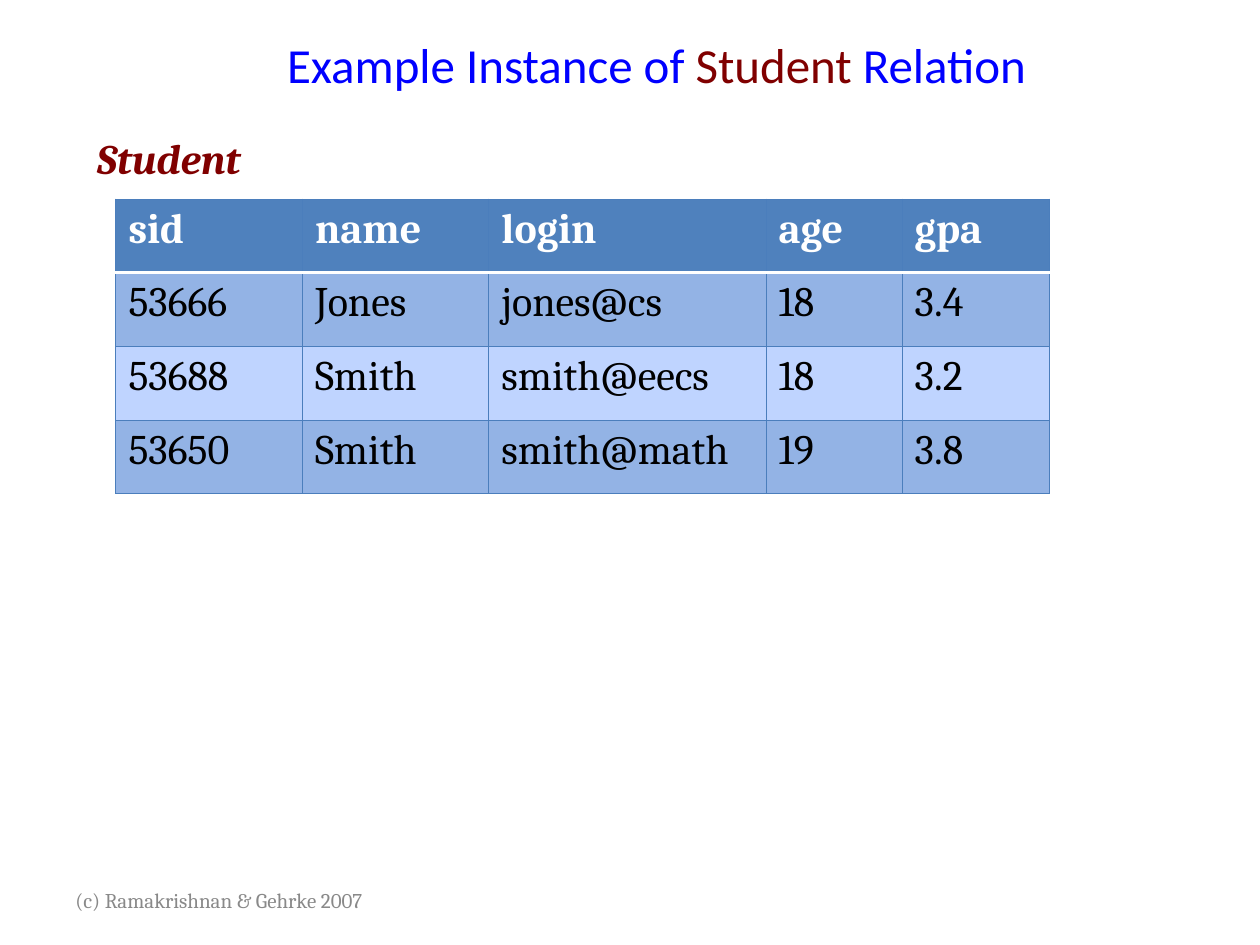
from dataclasses import dataclass

from lxml.etree import SubElement as Sub
from pptx import Presentation as Deck
from pptx.dml.color import RGBColor as Rgb
from pptx.enum.text import MSO_ANCHOR as Anchor, PP_ALIGN as Align
from pptx.oxml.ns import qn
from pptx.util import Inches, Pt


@dataclass(frozen=True)
class Theme:
    head: str = "Calibri"
    body: str = "Cambria"
    blue: str = "0000FF"
    red: str = "800000"
    gray: str = "898989"
    white: str = "FFFFFF"
    black: str = "000000"
    fill: str = "4F81BD"
    dark: str = "93B3E5"
    light: str = "BFD4FF"
    edge: str = "4B7EBC"
    big: int = 28
    mid: int = 24
    small: int = 12


@dataclass(frozen=True)
class Box:
    left: float
    top: float
    width: float
    height: float

    def place(self) -> tuple:
        return (across(self.left), down(self.top),
                across(self.width), down(self.height))


LOOK = Theme()
WIDE, HIGH = Inches(10), Inches(7.5)


def across(share: float) -> int:
    return round(WIDE * share / 100)


def down(share: float) -> int:
    return round(HIGH * share / 100)


def write(frame, *runs: tuple, font: str = LOOK.body, size: int = LOOK.mid,
          bold: bool = False, slant: bool = False, align=Align.LEFT,
          anchor=Anchor.TOP, wrap: bool = True) -> None:
    frame.word_wrap = wrap
    frame.vertical_anchor = anchor
    para = frame.paragraphs[0]
    para.alignment = align
    for words, color in runs:
        run = para.add_run()
        run.text = words
        face = run.font
        face.name, face.size = font, Pt(size)
        face.bold, face.italic = bold, slant
        face.color.rgb = Rgb.from_string(color)


def label(slide, box: Box, *runs: tuple, **form) -> None:
    write(slide.shapes.add_textbox(*box.place()).text_frame, *runs, **form)


def border(cell, side: str, color: str, width: float) -> None:
    line = Sub(cell._tc.get_or_add_tcPr(), qn(f"a:{side}"), w=str(Pt(width)))
    Sub(Sub(line, qn("a:solidFill")), qn("a:srgbClr"), val=color)


def grid(slide, box: Box, cols: list[float], rows: list[tuple]) -> None:
    table = slide.shapes.add_table(len(rows), len(cols), *box.place()).table
    for col, width in zip(table.columns, cols):
        col.width = across(width)
    for y, row in enumerate(rows):
        top = y == 0
        back = LOOK.fill if top else LOOK.dark if y % 2 else LOOK.light
        ink = LOOK.white if top else LOOK.black
        rule, thin = (LOOK.white, 2), (LOOK.edge, 0.75)
        for x, words in enumerate(row):
            cell = table.cell(y, x)
            write(cell.text_frame, (words, ink), bold=top)
            border(cell, "lnL", *thin)
            border(cell, "lnR", *thin)
            border(cell, "lnT", *(rule if y == 1 else thin))
            border(cell, "lnB", *(rule if top else thin))
            cell.fill.solid()
            cell.fill.fore_color.rgb = Rgb.from_string(back)


def main() -> None:
    deck = Deck()
    deck.slide_width, deck.slide_height = WIDE, HIGH
    slide = deck.slides.add_slide(deck.slide_layouts[6])
    label(slide, Box(10, 2.27, 84.2, 8.93),
          ("Example Instance of ", LOOK.blue), ("Student", LOOK.red),
          (" Relation", LOOK.blue), font=LOOK.head, size=LOOK.big,
          align=Align.CENTER, anchor=Anchor.MIDDLE)
    grid(slide, Box(9.2, 21.07, 74.1, 31.2), [14.8, 14.8, 22, 10.8, 11.7], [
        ("sid", "name", "login", "age", "gpa"),
        ("53666", "Jones", "jones@cs", "18", "3.4"),
        ("53688", "Smith", "smith@eecs", "18", "3.2"),
        ("53650", "Smith", "smith@math", "19", "3.8"),
    ])
    label(slide, Box(6.7, 13.33, 13.6, 6.8), ("Student", LOOK.red),
          bold=True, slant=True, wrap=False)
    label(slide, Box(5, 92.67, 26.7, 5.07),
          ("(c) Ramakrishnan & Gehrke 2007", LOOK.gray),
          size=LOOK.small, anchor=Anchor.MIDDLE)
    deck.save("out.pptx")


main()
